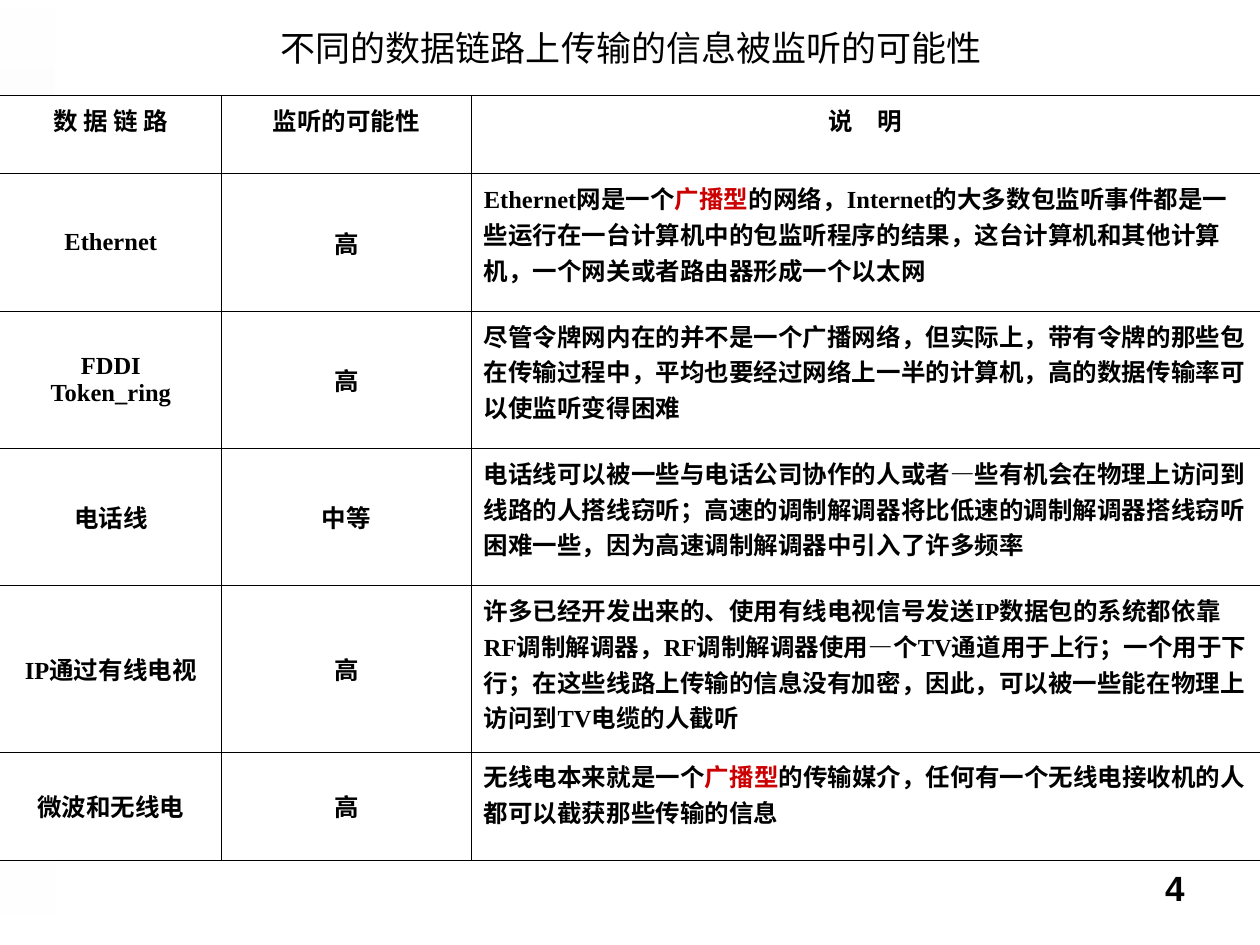
from dataclasses import dataclass

from pptx import Presentation
from pptx.dml.color import RGBColor
from pptx.enum.shapes import MSO_SHAPE
from pptx.enum.text import MSO_ANCHOR, MSO_AUTO_SIZE, PP_ALIGN
from pptx.oxml import parse_xml
from pptx.oxml.ns import nsdecls
from pptx.util import Inches, Pt

CENTER, LEFT, RIGHT = PP_ALIGN.CENTER, PP_ALIGN.LEFT, PP_ALIGN.RIGHT
TOP, MIDDLE = MSO_ANCHOR.TOP, MSO_ANCHOR.MIDDLE
RECTANGLE = MSO_SHAPE.RECTANGLE


@dataclass(frozen=True)
class Theme:
    text: str = "000000"
    accent: str = "CC0000"
    background: str = "FFFFFF"
    band: str = "EAEAEA"
    title_font: str = "Cambria"
    table_font: str = "Times New Roman"
    number_font: str = "Arial"
    large: int = 20
    small: int = 14
    border: float = 0.45


@dataclass(frozen=True)
class LinkRow:
    links: tuple[str, ...]
    likelihood: str
    description: str


THEME = Theme()
KEYWORD = "广播型"
HEADINGS = ("数 据 链 路", "监听的可能性", "说　明")
COLUMN_WIDTHS = (1.76, 1.98, 6.26)
ROW_HEIGHTS = (0.62, 1.09, 1.09, 1.09, 1.32, 0.86)
ROWS = (
    LinkRow(("Ethernet",), "高",
            "Ethernet网是一个广播型的网络，Internet的大多数包监听事件都是一些运行在一台"
            "计算机中的包监听程序的结果，这台计算机和其他计算机，一个网关或者路由器形成一个以太网"),
    LinkRow(("FDDI", "Token_ring"), "高",
            "尽管令牌网内在的并不是一个广播网络，但实际上，带有令牌的那些包在传输过程中，"
            "平均也要经过网络上一半的计算机，高的数据传输率可以使监听变得困难"),
    LinkRow(("电话线",), "中等",
            "电话线可以被一些与电话公司协作的人或者—些有机会在物理上访问到线路的人搭线窃听；"
            "高速的调制解调器将比低速的调制解调器搭线窃听困难一些，因为高速调制解调器中引入了许多频率"),
    LinkRow(("IP通过有线电视",), "高",
            "许多已经开发出来的、使用有线电视信号发送IP数据包的系统都依靠RF调制解调器，"
            "RF调制解调器使用—个TV通道用于上行；一个用于下行；在这些线路上传输的信息没有加密，"
            "因此，可以被一些能在物理上访问到TV电缆的人截听"),
    LinkRow(("微波和无线电",), "高",
            "无线电本来就是一个广播型的传输媒介，任何有一个无线电接收机的人都可以截获那些传输的信息"),
)


def add_run(paragraph, text: str, font: str, size: int, bold: bool = True,
            color: str = THEME.text) -> None:
    run = paragraph.add_run()
    run.text = text
    run.font.name = font
    run.font.size = Pt(size)
    run.font.bold = bold
    run.font.color.rgb = RGBColor.from_string(color)


def add_highlighted(paragraph, text: str) -> None:
    """Write table text, with the keyword in the accent colour."""
    before, keyword, after = text.partition(KEYWORD)
    for part, color in ((before, THEME.text), (keyword, THEME.accent), (after, THEME.text)):
        if part:
            add_run(paragraph, part, THEME.table_font, THEME.small, color=color)


def set_borders(cell, visible_sides: str) -> None:
    properties = cell._tc.get_or_add_tcPr()
    for side in "LRTB":
        fill = (f'<a:solidFill><a:srgbClr val="{THEME.text}"/></a:solidFill>'
                if side in visible_sides else "<a:noFill/>")
        properties.append(parse_xml(
            f'<a:ln{side} {nsdecls("a")} w="{Pt(THEME.border)}">{fill}</a:ln{side}>'))


def fill_cell(cell, lines: tuple[str, ...], alignment: PP_ALIGN, anchor: MSO_ANCHOR,
              borders: str) -> None:
    set_borders(cell, borders)
    cell.fill.solid()
    cell.fill.fore_color.rgb = RGBColor.from_string(THEME.background)
    cell.vertical_anchor = anchor
    frame = cell.text_frame
    for index, line in enumerate(lines):
        paragraph = frame.add_paragraph() if index else frame.paragraphs[0]
        paragraph.alignment = alignment
        # Keep punctuation inside the right margin
        paragraph._p.get_or_add_pPr().set("hangingPunct", "0")
        add_highlighted(paragraph, line)


def add_side_band(slide) -> None:
    """Add the faint gradient band behind everything on the left."""
    band = slide.shapes.add_shape(RECTANGLE, Inches(0), Inches(0), Inches(0.43), Inches(7.26))
    band.rotation = 180
    band.shadow.inherit = False
    band.line.fill.background()
    band.fill.gradient()
    band.fill.gradient_angle = 90
    stops = ((THEME.band, 0), (THEME.background, 65))
    for stop, (color, opacity) in zip(band.fill.gradient_stops, stops):
        stop.color.rgb = RGBColor.from_string(color)
        stop._gs[0].append(parse_xml(f'<a:alpha {nsdecls("a")} val="{opacity * 1000}"/>'))
    for position, stop in enumerate(band.fill.gradient_stops):
        stop.position = position
    slide.shapes._spTree.insert(2, band._element)


def add_title(slide, text: str) -> None:
    title = slide.shapes.title
    title.left, title.top = Inches(0.59), Inches(0)
    title.width, title.height = Inches(8.84), Inches(0.72)
    frame = title.text_frame
    frame.auto_size = MSO_AUTO_SIZE.NONE
    frame.vertical_anchor = MIDDLE
    frame.margin_top, frame.margin_bottom = Inches(0.14), Inches(0.1)
    paragraph = frame.paragraphs[0]
    paragraph.alignment = CENTER
    add_run(paragraph, text, THEME.title_font, THEME.large, bold=False)


def add_link_table(slide) -> None:
    table = slide.shapes.add_table(
        len(ROW_HEIGHTS), len(COLUMN_WIDTHS), Inches(0), Inches(0.76),
        Inches(sum(COLUMN_WIDTHS)), Inches(sum(ROW_HEIGHTS))).table
    table.first_row = table.horz_banding = False
    for column, width in zip(table.columns, COLUMN_WIDTHS):
        column.width = Inches(width)
    for row, height in zip(table.rows, ROW_HEIGHTS):
        row.height = Inches(height)

    # The outer left and right edges stay open
    column_borders = ("RTB", "LRTB", "LTB")
    for column, heading in enumerate(HEADINGS):
        fill_cell(table.cell(0, column), (heading,), CENTER, TOP, column_borders[column])
    formats = ((CENTER, MIDDLE), (CENTER, MIDDLE), (LEFT, TOP))
    for row, link in enumerate(ROWS, start=1):
        contents = (link.links, (link.likelihood,), (link.description,))
        for column, lines in enumerate(contents):
            fill_cell(table.cell(row, column), lines, *formats[column], column_borders[column])


def add_page_number(slide, number: str) -> None:
    box = slide.shapes.add_textbox(Inches(7.17), Inches(6.83), Inches(2.33), Inches(0.52))
    box.text_frame.word_wrap = True
    paragraph = box.text_frame.paragraphs[0]
    paragraph.alignment = RIGHT
    add_run(paragraph, number, THEME.number_font, THEME.large)


def main() -> None:
    presentation = Presentation()
    presentation.slide_width, presentation.slide_height = Inches(10), Inches(7.5)
    slide = presentation.slides.add_slide(presentation.slide_layouts[5])
    slide.background.fill.solid()
    slide.background.fill.fore_color.rgb = RGBColor.from_string(THEME.background)

    add_side_band(slide)
    add_page_number(slide, "4")
    add_title(slide, "不同的数据链路上传输的信息被监听的可能性")
    add_link_table(slide)
    presentation.save("out.pptx")


if __name__ == "__main__":
    main()
